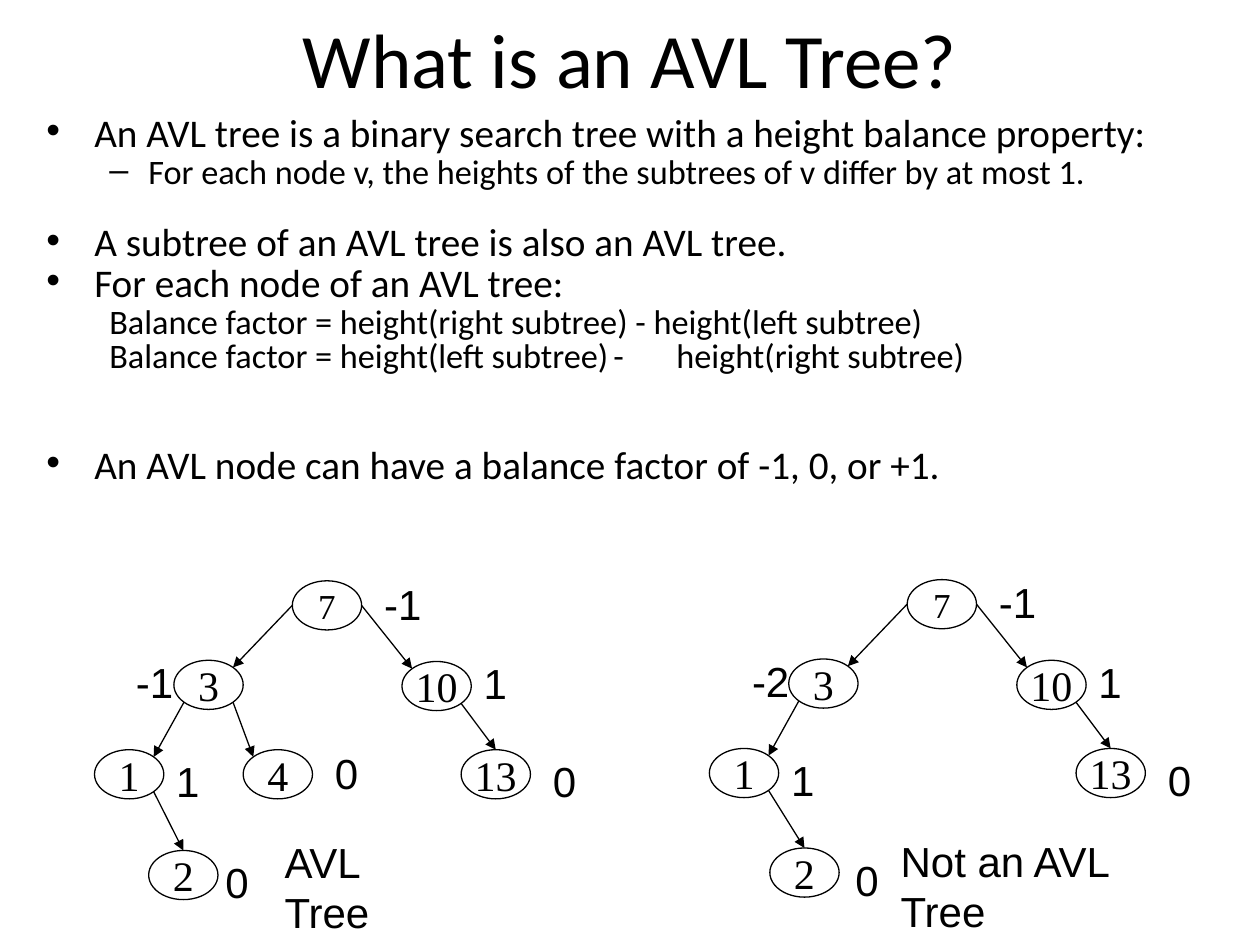
"""Build a slide that defines AVL trees and contrasts a valid tree with an invalid one."""
from dataclasses import dataclass
from math import sqrt

from lxml.etree import SubElement
from pptx import Presentation
from pptx.dml.color import RGBColor
from pptx.enum.shapes import MSO_CONNECTOR as Connector, MSO_SHAPE as Shape
from pptx.enum.text import MSO_ANCHOR as Anchor, MSO_AUTO_SIZE as AutoSize, PP_ALIGN as Align
from pptx.oxml.ns import qn
from pptx.util import Inches, Pt


@dataclass(frozen=True)
class Theme:
    ink: RGBColor = RGBColor(0, 0, 0)
    body_font: str = "Calibri"
    node_font: str = "Times New Roman"
    label_font: str = "Arial"
    title_size: float = 44
    point_size: float = 22.4
    detail_size: float = 19.6
    root_size: float = 20
    tree_size: float = 24
    line_width: float = 0.75


THEME = Theme()
TITLE = "What is an AVL Tree?"

# (style, space before in points, text)
POINTS = [
    ("point", 0, "An AVL tree is a binary search tree with a height balance property:"),
    ("detail", 4.3, "For each node v, the heights of the subtrees of v differ by at most 1."),
    ("point", 23, "A subtree of an AVL tree is also an AVL tree."),
    ("point", 4.3, "For each node of an AVL tree:"),
    ("formula", 4.3, "\tBalance factor = height(right subtree) - height(left subtree)"),
    ("formula", 3, "\tBalance factor = height(left subtree)\t-\theight(right subtree)"),
    ("point", 45, "An AVL node can have a balance factor of -1, 0, or +1."),
]
STYLES = {
    "point": dict(size=THEME.point_size, margin=0.38, indent=-0.38, bullet="•", tabs=()),
    "detail": dict(size=THEME.detail_size, margin=0.81, indent=-0.31, bullet="–", tabs=()),
    "formula": dict(size=THEME.detail_size, margin=0, indent=0, bullet=None, tabs=(0.5, 4.71, 5.04)),
}

NODE_WIDTH, NODE_HEIGHT = 0.55, 0.39
NODES = {"7": (2.32, 4.61), "3": (1.38, 5.24), "10": (3.19, 5.25), "1": (0.75, 5.95), "13": (3.66, 5.95)}
EDGES = [
    ("7", "left", "3", "top right"),
    ("7", "right", "10", "top left"),
    ("3", "bottom left", "1", "top right"),
    ("10", "bottom right", "13", "top"),
    ("1", "bottom right", "2", "top"),
]
FACTORS = [("-1", 2.95, 4.54, 0.85), ("1", 3.74, 5.17, 0.47), ("0", 4.29, 5.95, 0.47), ("1", 1.3, 5.95, 0.47)]
TREES = [
    dict(
        offset=(0, 0),
        nodes={"2": (1.18, 6.75), "4": (1.93, 5.95)},
        edges=[("3", "bottom right", "4", "top left")],
        labels=[("-1", 0.98, 5.16, 0.71), ("0", 2.56, 5.88, 0.47), ("0", 1.69, 6.75, 0.47),
                ("AVL Tree", 2.16, 6.59, 1.42)],
    ),
    dict(
        offset=(4.88, -0.01),
        nodes={"2": (1.23, 6.74)},
        edges=[],
        labels=[("-2", 0.99, 5.16, 0.71), ("0", 1.81, 6.74, 0.47), ("Not an AVL Tree", 2.17, 6.59, 2.2)],
    ),
]
SIDES = {"left": (-1, 0), "right": (1, 0), "top": (0, -1), "bottom": (0, 1)}


def add_span(para, text, font, size):
    span = para.add_run()
    span.text = text
    span.font.name = font
    span.font.size = Pt(size)
    span.font.color.rgb = THEME.ink


def add_title(slide):
    title = slide.shapes.title
    title.left, title.top, title.width, title.height = map(Inches, (0.5, 0, 9, 0.91))
    title.text_frame.vertical_anchor = Anchor.MIDDLE
    para = title.text_frame.paragraphs[0]
    para.alignment = Align.CENTER
    add_span(para, TITLE, THEME.body_font, THEME.title_size)


def add_points(slide):
    box = slide.shapes.add_textbox(*map(Inches, (0.27, 0.91, 9.37, 3.15)))
    frame = box.text_frame
    frame.word_wrap = True
    for index, (name, gap, text) in enumerate(POINTS):
        style = STYLES[name]
        para = frame.paragraphs[0] if index == 0 else frame.add_paragraph()
        para.line_spacing = 0.7
        if gap:
            para.space_before = Pt(gap)
        properties = para._p.get_or_add_pPr()
        properties.set("marL", str(Inches(style["margin"])))
        properties.set("indent", str(Inches(style["indent"])))
        if style["bullet"]:
            SubElement(properties, qn("a:buFont"), typeface="Arial")
            SubElement(properties, qn("a:buChar"), char=style["bullet"])
        if style["tabs"]:
            stops = SubElement(properties, qn("a:tabLst"))
            for stop in style["tabs"]:
                SubElement(stops, qn("a:tab"), pos=str(Inches(stop)), algn="l")
        add_span(para, text, THEME.body_font, style["size"])


def add_node(slide, text, left, top):
    node = slide.shapes.add_shape(Shape.OVAL, *map(Inches, (left, top, NODE_WIDTH, NODE_HEIGHT)))
    node.shadow.inherit = False
    node.fill.background()
    node.line.color.rgb = THEME.ink
    node.line.width = Pt(THEME.line_width)
    frame = node.text_frame
    frame.word_wrap = False
    frame.vertical_anchor = Anchor.MIDDLE
    para = frame.paragraphs[0]
    para.alignment = Align.CENTER
    add_span(para, text, THEME.node_font, THEME.root_size if text == "7" else THEME.tree_size)


def rim_point(corner, side):
    """Return the point of a node's outline that lies towards the named side."""
    parts = [SIDES[word] for word in side.split()]
    reach = 1 / sqrt(len(parts))
    across, down = (sum(values) * reach for values in zip(*parts))
    return corner[0] + NODE_WIDTH / 2 * (1 + across), corner[1] + NODE_HEIGHT / 2 * (1 + down)


def add_arrow(slide, start, end):
    arrow = slide.shapes.add_connector(Connector.STRAIGHT, *map(Inches, (*start, *end)))
    arrow.line.color.rgb = THEME.ink
    arrow.line.width = Pt(THEME.line_width)
    SubElement(arrow.line._get_or_add_ln(), qn("a:tailEnd"), type="triangle")
    SubElement(arrow._element.spPr, qn("a:effectLst"))


def add_label(slide, text, left, top, width):
    box = slide.shapes.add_textbox(*map(Inches, (left, top, width, 0.5)))
    box.text_frame.word_wrap = True
    box.text_frame.auto_size = AutoSize.SHAPE_TO_FIT_TEXT
    add_span(box.text_frame.paragraphs[0], text, THEME.label_font, THEME.tree_size)


def add_tree(slide, tree):
    shift, rise = tree["offset"]
    nodes = {text: (left + shift, top + rise) for text, (left, top) in (NODES | tree["nodes"]).items()}
    for text, corner in nodes.items():
        add_node(slide, text, *corner)
    for parent, exit_side, child, entry_side in EDGES + tree["edges"]:
        add_arrow(slide, rim_point(nodes[parent], exit_side), rim_point(nodes[child], entry_side))
    for text, left, top, width in FACTORS + tree["labels"]:
        add_label(slide, text, left + shift, top + rise, width)


def main():
    deck = Presentation()
    deck.slide_width, deck.slide_height = Inches(10), Inches(7.5)
    slide = deck.slides.add_slide(deck.slide_layouts[5])
    add_title(slide)
    add_points(slide)
    for tree in TREES:
        add_tree(slide, tree)
    deck.save("out.pptx")


if __name__ == "__main__":
    main()
